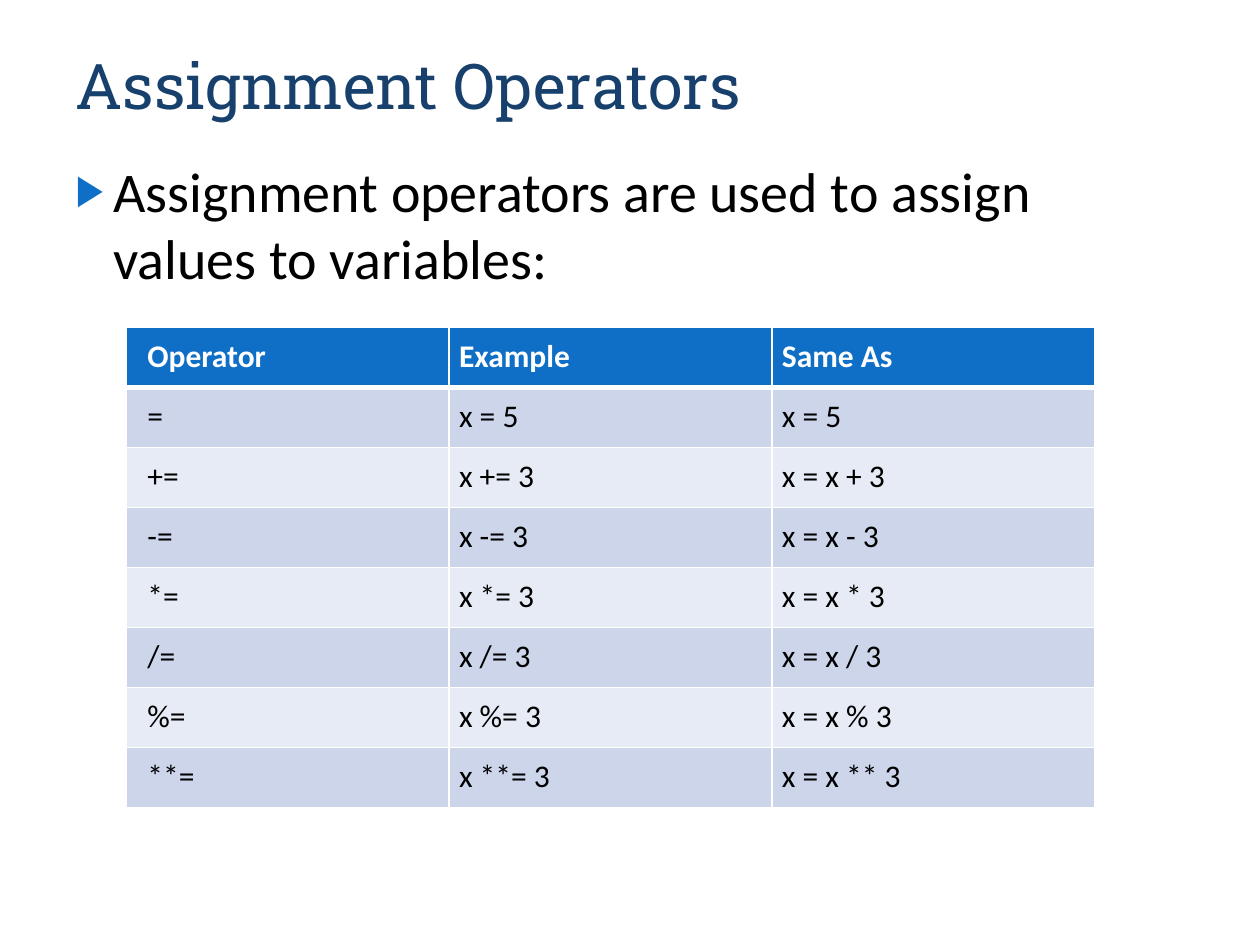
import pptx
import pptx.dml.color
import pptx.enum.text
import pptx.util
from lxml import etree
from pptx.oxml.ns import qn

Inches, Pt = pptx.util.Inches, pptx.util.Pt
RGBColor = pptx.dml.color.RGBColor

# Content
HEADING = "Assignment Operators"
INTRO = "Assignment operators are used to assign values to variables:"
HEADER = ("Operator", "Example", "Same As")
OPERATORS = [
    ("=", "x = 5", "x = 5"),
    ("+=", "x += 3", "x = x + 3"),
    ("-=", "x -= 3", "x = x - 3"),
    ("*=", "x *= 3", "x = x * 3"),
    ("/=", "x /= 3", "x = x / 3"),
    ("%=", "x %= 3", "x = x % 3"),
    ("**=", "x **= 3", "x = x ** 3"),
]

# Look
NAVY = RGBColor(0x17, 0x40, 0x6D)
BLUE = RGBColor(0x0F, 0x6F, 0xC6)
BLACK = RGBColor(0, 0, 0)
WHITE = RGBColor(0xFF, 0xFF, 0xFF)
BANDS = (RGBColor(0xCC, 0xD5, 0xEA), RGBColor(0xE7, 0xEB, 0xF5))
HEADING_FONT, TEXT_FONT = "Roboto Slab", "Calibri"
COLUMN_WIDTH, ROW_HEIGHT = Inches(7.69 / 3), Inches(3.81 / 8)


def place(holder, left, top, width, height):
    holder.left, holder.top = Inches(left), Inches(top)
    holder.width, holder.height = Inches(width), Inches(height)


def style(paragraph, name, size, color, bold=False):
    font = paragraph.font
    font.name, font.size, font.bold = name, Pt(size), bold
    font.color.rgb = color


def add_color(parent, color):
    etree.SubElement(parent, qn("a:srgbClr"), val=str(color))


def add_bullet(paragraph, char, color, percent):
    properties = paragraph._p.get_or_add_pPr()
    properties.set("marL", str(Inches(0.3)))
    properties.set("indent", str(Inches(-0.3)))
    add_color(etree.SubElement(properties, qn("a:buClr")), color)
    etree.SubElement(properties, qn("a:buSzPct"), val=str(percent * 1000))
    etree.SubElement(properties, qn("a:buFont"), typeface="Arial")
    etree.SubElement(properties, qn("a:buChar"), char=char)


def add_borders(cell, widths):
    properties = cell._tc.get_or_add_tcPr()
    for side, width in zip("LRTB", widths):
        line = etree.SubElement(properties, qn(f"a:ln{side}"), w=str(Pt(width)))
        add_color(etree.SubElement(line, qn("a:solidFill")), WHITE)


def fill_table(table):
    for column in table.columns:
        column.width = COLUMN_WIDTH
    for r, texts in enumerate([HEADER] + OPERATORS):
        table.rows[r].height = ROW_HEIGHT
        is_header = r == 0
        for c, text in enumerate(texts):
            cell = table.cell(r, c)
            cell.text = text
            cell.margin_left = Inches(0.17 if c == 0 else 0.08)
            cell.margin_right = cell.margin_top = cell.margin_bottom = Inches(0.08)
            style(cell.text_frame.paragraphs[0], TEXT_FONT, 18,
                  WHITE if is_header else BLACK, is_header)
            # The rule below the header is heavier
            add_borders(cell, (1, 1, 3 if r == 1 else 1, 3 if is_header else 1)
                        if r < 2 else (1, 1, 1, 1))
            cell.fill.solid()
            cell.fill.fore_color.rgb = BLUE if is_header else BANDS[(r - 1) % 2]


def main():
    deck = pptx.Presentation()
    deck.slide_width, deck.slide_height = Inches(10), Inches(7.5)
    slide = deck.slides.add_slide(deck.slide_layouts[1])

    # Heading
    title = slide.shapes.title
    place(title, 0.5, 0.17, 9, 1.41)
    title.text = HEADING
    frame = title.text_frame
    frame.auto_size = pptx.enum.text.MSO_AUTO_SIZE.NONE
    frame.vertical_anchor = pptx.enum.text.MSO_ANCHOR.BOTTOM
    frame.margin_bottom = Inches(0.61)
    frame.paragraphs[0].alignment = pptx.enum.text.PP_ALIGN.LEFT
    style(frame.paragraphs[0], HEADING_FONT, 36, NAVY)

    # Introduction
    body = slide.placeholders[1]
    place(body, 0.5, 1.19, 9, 5.63)
    body.text = INTRO
    body.text_frame.auto_size = pptx.enum.text.MSO_AUTO_SIZE.NONE
    intro = body.text_frame.paragraphs[0]
    intro.space_before = Pt(6)
    add_bullet(intro, "▶", BLUE, 76)
    style(intro, TEXT_FONT, 32, BLACK)

    # Operator table
    rows, columns = len(OPERATORS) + 1, len(HEADER)
    grid = slide.shapes.add_table(rows, columns, Inches(1), Inches(2.6),
                                  COLUMN_WIDTH * columns, ROW_HEIGHT * rows)
    fill_table(grid.table)

    deck.save("out.pptx")


if __name__ == "__main__":
    main()
